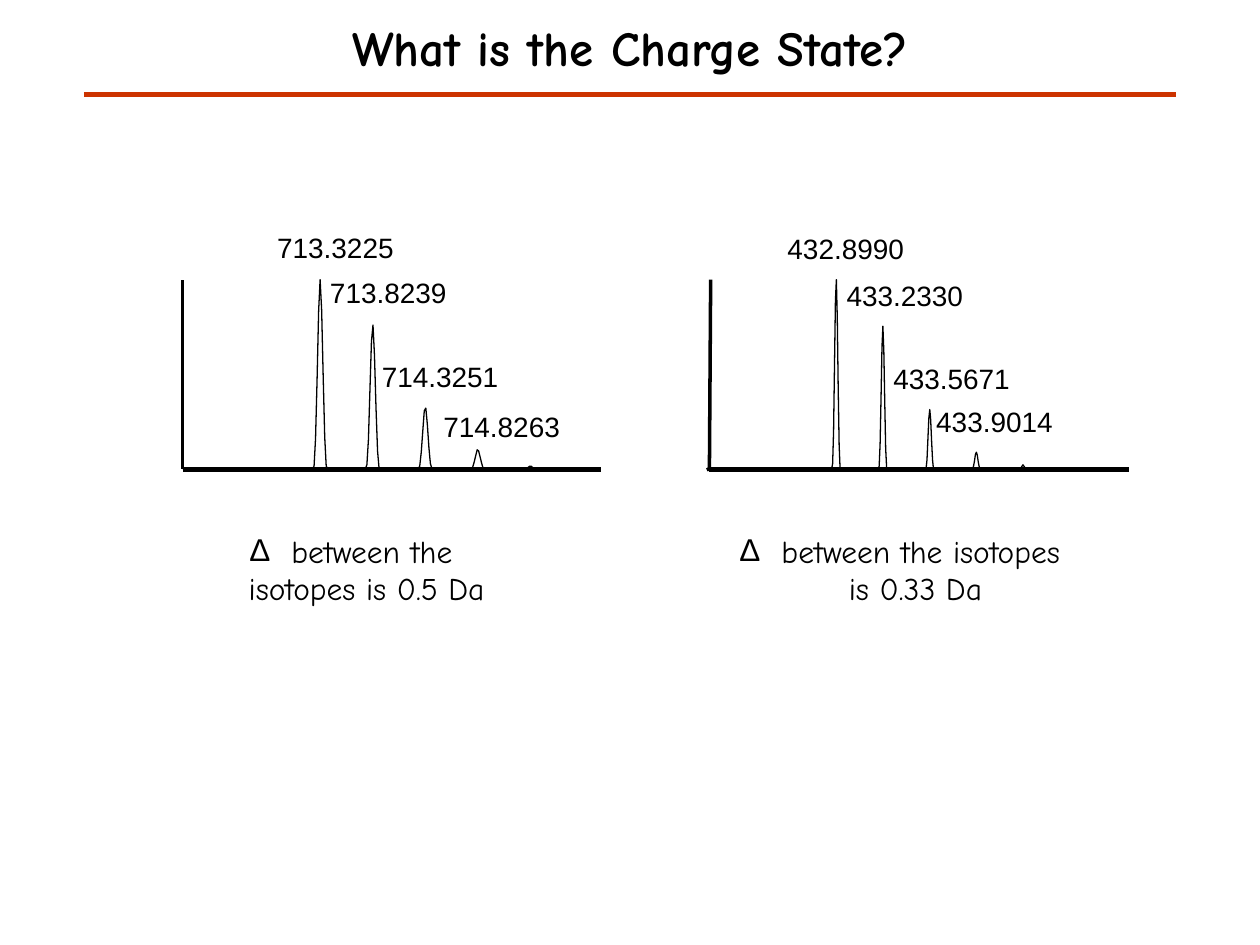
"""Build the charge state slide with two isotope spectra."""
from lxml import etree
from pptx import Presentation
from pptx.dml.color import RGBColor
from pptx.enum import shapes, text
from pptx.oxml import ns
from pptx.util import Pt

BLACK = RGBColor(0x00, 0x00, 0x00)
RED = RGBColor(0xCC, 0x33, 0x00)
TITLE = "What is the Charge State?"
BASELINE, AXIS_TOP, AXIS_BOTTOM = 267.84, 159.84, 268.5
LABEL_SIZE = (67, 19.4)
BULLET_INDENT = 18

SPECTRA = [
    {
        "left": 405.4, "right": 645.1, "axis_top_x": 406.1, "step": 0.53,
        "ticks": [((405.4, BASELINE), (403.9, AXIS_BOTTOM))],
        "peaks": [
            (475.3, [0, 2.9, 21.6, 58.3, 95.8, 108, 85.7, 46.1, 13.7, 0]),
            (501.9, [0, 1.4, 14.4, 41, 69.8, 81.4, 67, 37.4, 11.5, 0.7, 0]),
            (529.2, [0, 5, 16.6, 28.8, 33.8, 28.1, 15.8, 5, 0]),
            (555.8, [0, 1.4, 4.3, 7.9, 9.4, 7.9, 4.3, 1.4, 0]),
            (583, [0, 0.7, 1.4, 2.2, 1.4, 0.7, 0]),
        ],
        "labels": [("432.8990", 450, 132.5), ("433.2330", 483.8, 159.1),
                   ("433.5671", 510.5, 206.6), ("433.9014", 535, 231.1)],
        "caption": (" between the isotopes is 0.33 Da", 414, 200.2),
    },
    {
        "left": 104.4, "right": 343.4, "axis_top_x": 104.4, "step": 0.87,
        "ticks": [],
        "peaks": [
            (178.6, [0, 1.4, 17.3, 51.1, 90, 108, 90.7, 52.6, 18, 1.4, 0]),
            (208.8, [0, 2.2, 16.6, 44.6, 72.7, 82.1, 64.8, 34.6, 10.1, 0]),
            (239, [0, 1.4, 9.4, 21.6, 33.1, 34.6, 25.2, 12.2, 2.9, 0]),
            (269.2, [0, 0.7, 3.6, 7.2, 10.8, 10.1, 6.5, 2.9, 0]),
            (300.9, [0, 0.7, 1.4, 1.4, 0.7, 0]),
        ],
        "labels": [("713.3225", 158.4, 131.8), ("713.8239", 188.6, 157.7),
                   ("714.3251", 218.2, 205.2), ("714.8263", 253.4, 234)],
        "caption": (" between the isotopes is 0.5 Da", 108, 185),
    },
]


def add_line(slide, start, end, color=BLACK, width=0):
    line = slide.shapes.add_connector(
        shapes.MSO_CONNECTOR.STRAIGHT, *map(Pt, start + end))
    line.line.color.rgb = color
    line.line.width = Pt(width)
    etree.SubElement(line._element.spPr, ns.qn("a:effectLst"))


def add_text(slide, words, box, font_name, size, bold=False, align=None):
    area = slide.shapes.add_textbox(*map(Pt, box))
    frame = area.text_frame
    frame.word_wrap = True
    paragraph = frame.paragraphs[0]
    paragraph.text = words
    paragraph.alignment = align
    font = paragraph.font
    font.name, font.size, font.bold = font_name, Pt(size), bold
    font.color.rgb = BLACK
    return frame


def add_trace(slide, spectrum):
    points = [(x + i * spectrum["step"], BASELINE - height)
              for x, heights in spectrum["peaks"]
              for i, height in enumerate(heights)]
    points.append((spectrum["right"], BASELINE))
    builder = slide.shapes.build_freeform(Pt(spectrum["left"]), Pt(BASELINE))
    builder.add_line_segments([(Pt(x), Pt(y)) for x, y in points], close=False)
    trace = builder.convert_to_shape()
    trace.shadow.inherit = False
    trace.fill.background()
    trace.line.color.rgb = BLACK
    trace.line.width = Pt(0)


def add_label(slide, mass, x, y):
    frame = add_text(slide, mass, (x, y) + LABEL_SIZE, "Arial", 16)
    frame.word_wrap = False
    frame.auto_size = text.MSO_AUTO_SIZE.SHAPE_TO_FIT_TEXT
    frame.margin_left = frame.margin_right = 0
    frame.margin_top = frame.margin_bottom = 0


def add_caption(slide, words, x, width):
    frame = add_text(slide, words, (x, 300.2, width, 51.1), "Comic Neue", 18,
                     align=text.PP_ALIGN.CENTER)
    frame.auto_size = text.MSO_AUTO_SIZE.SHAPE_TO_FIT_TEXT
    properties = frame.paragraphs[0]._p.get_or_add_pPr()
    properties.set("marL", str(Pt(BULLET_INDENT)))
    properties.set("indent", str(-Pt(BULLET_INDENT)))
    bullet_font = etree.Element(ns.qn("a:buFont"), typeface="Arial")
    bullet = etree.Element(ns.qn("a:buChar"), char="Δ")
    properties.insert(0, bullet_font)
    properties.insert(1, bullet)


def add_spectrum(slide, spectrum):
    left, right = spectrum["left"], spectrum["right"]
    for y in (AXIS_BOTTOM, BASELINE):
        add_line(slide, (left, y), (right, y))
    add_line(slide, (left, BASELINE), (spectrum["axis_top_x"], AXIS_TOP))
    for start, end in spectrum["ticks"]:
        add_line(slide, start, end)
    add_trace(slide, spectrum)
    for label in spectrum["labels"]:
        add_label(slide, *label)


def main():
    deck = Presentation()
    deck.slide_width, deck.slide_height = Pt(720), Pt(540)
    slide = deck.slides.add_slide(deck.slide_layouts[6])
    for spectrum in SPECTRA:
        add_spectrum(slide, spectrum)
    title = add_text(slide, TITLE, (0, 0, 720, 54), "Comic Neue", 28,
                     bold=True, align=text.PP_ALIGN.CENTER)
    title.vertical_anchor = text.MSO_ANCHOR.MIDDLE
    add_line(slide, (48, 54), (672, 54), RED, 2.5)
    for spectrum in reversed(SPECTRA):
        add_caption(slide, *spectrum["caption"])
    deck.save("out.pptx")


if __name__ == "__main__":
    main()
